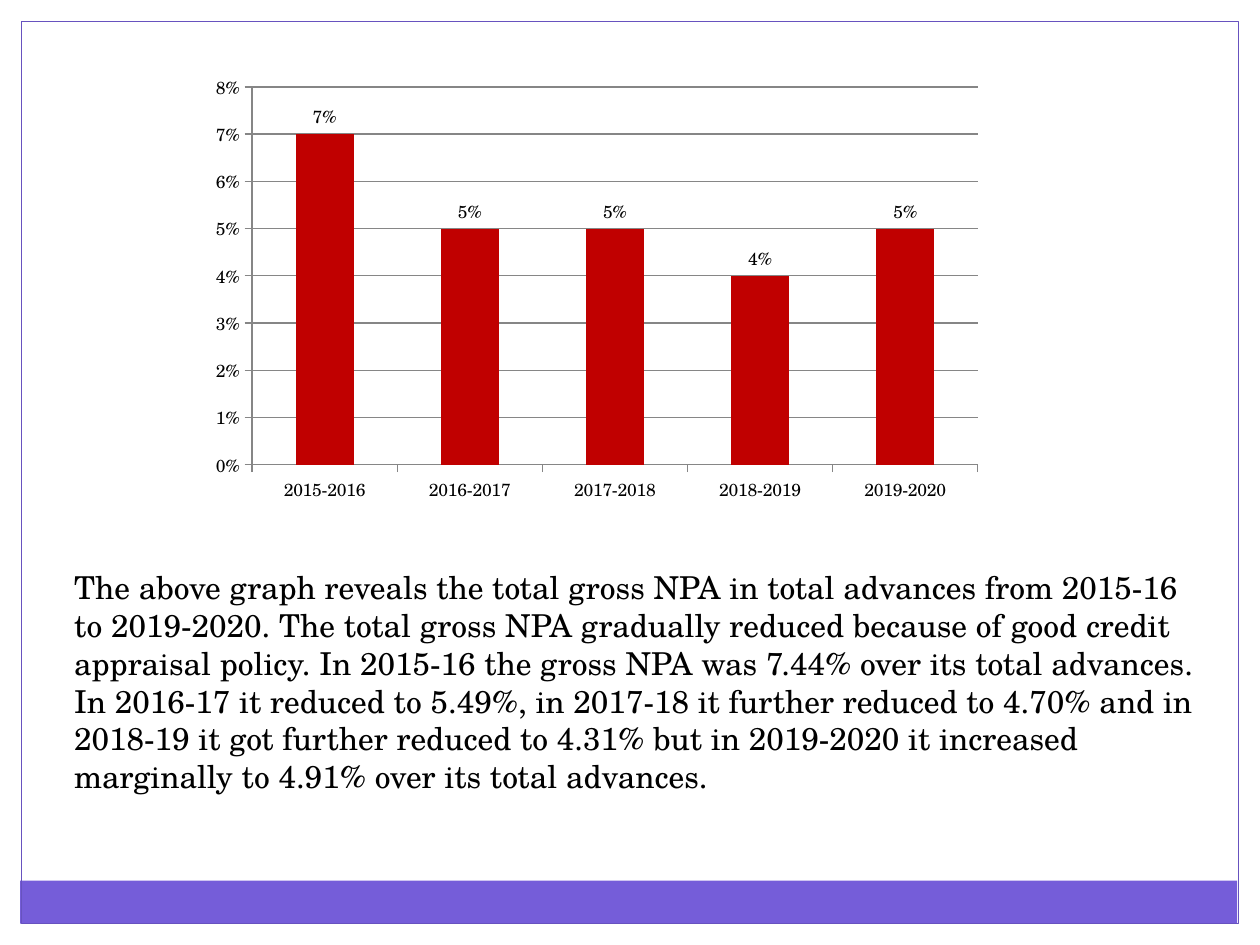
from pptx import Presentation
from pptx.chart.data import CategoryChartData
from pptx.dml.color import RGBColor
from pptx.enum.chart import XL_CHART_TYPE, XL_LABEL_POSITION, XL_TICK_MARK
from pptx.enum.shapes import MSO_SHAPE
from pptx.enum.text import MSO_ANCHOR, MSO_AUTO_SIZE, PP_ALIGN
from pptx.oxml import parse_xml
from pptx.oxml.ns import nsdecls
from pptx.util import Inches, Pt

COLORS = {
    "margin": "FFFFFF",
    "band": "755DD9",
    "frame": "6752BF",
    "bar": "C00000",
    "grid": "868686",
    "text": "000000",
}
FONT = "TeX Gyre Schola"
WIDTH, HEIGHT, MARGIN = 10, 7.5, 0.17
GROSS_NPA = {
    "2015-2016": 0.07,
    "2016-2017": 0.05,
    "2017-2018": 0.05,
    "2018-2019": 0.04,
    "2019-2020": 0.05,
}
COMMENTARY = (
    "The above graph reveals the total gross NPA in total advances from 2015-16 "
    "to 2019-2020. The total gross NPA gradually reduced because of good credit "
    "appraisal policy. In 2015-16 the gross NPA was 7.44% over its total advances. "
    "In 2016-17 it reduced to 5.49%, in 2017-18 it further reduced to 4.70% and in "
    "2018-19 it got further reduced to 4.31% but in 2019-2020 it increased "
    "marginally to 4.91% over its total advances."
)


def color(name):
    return RGBColor.from_string(COLORS[name])


def format_font(font, size, color_name="text"):
    font.name = FONT
    font.size = Pt(size)
    font.color.rgb = color(color_name)


def write_text(text_frame, text, size=18, color_name="text", align=PP_ALIGN.LEFT):
    paragraph = text_frame.paragraphs[0]
    paragraph.alignment = align
    run = paragraph.add_run()
    run.text = text
    format_font(run.font, size, color_name)


def set_plot_area(chart, x, y, width, height):
    """Fix the inner plot area, in fractions of the chart."""
    plot_area = chart.plots[0]._element.getparent()
    for old_layout in plot_area.findall("{*}layout"):
        plot_area.remove(old_layout)
    sizes = "".join(
        f'<c:{tag} val="{value}"/>'
        for tag, value in zip("xywh", (x, y, width, height))
    )
    plot_area.insert(0, parse_xml(
        f'<c:layout {nsdecls("c")}><c:manualLayout><c:layoutTarget val="inner"/>'
        f'<c:xMode val="edge"/><c:yMode val="edge"/>{sizes}'
        "</c:manualLayout></c:layout>"
    ))


class SlideBuilder:
    """Adds styled elements to the current slide."""

    def __init__(self, slide):
        self.slide = slide

    def rectangle(self, left, top, width, height, fill=None, line=None):
        shape = self.slide.shapes.add_shape(
            MSO_SHAPE.RECTANGLE, *map(Inches, (left, top, width, height)))
        shape.shadow.inherit = False
        if fill:
            shape.fill.solid()
            shape.fill.fore_color.rgb = color(fill)
        else:
            shape.fill.background()
        if line:
            shape.line.color.rgb = color(line)
            shape.line.width = Pt(0.75)
        else:
            shape.line.fill.background()

    def text_box(self, left, top, width, height, text, top_inset=0.05, **text_format):
        box = self.slide.shapes.add_textbox(
            *map(Inches, (left, top, width, height)))
        text_frame = box.text_frame
        text_frame.word_wrap = True
        text_frame.auto_size = MSO_AUTO_SIZE.SHAPE_TO_FIT_TEXT
        text_frame.vertical_anchor = MSO_ANCHOR.TOP
        text_frame.margin_top = Inches(top_inset)
        write_text(text_frame, text, **text_format)

    def column_chart(self, left, top, width, height, values):
        chart_data = CategoryChartData(number_format="0%")
        chart_data.categories = list(values)
        chart_data.add_series("Series 1", list(values.values()))
        chart = self.slide.shapes.add_chart(
            XL_CHART_TYPE.COLUMN_CLUSTERED,
            *map(Inches, (left, top, width, height)), chart_data).chart
        chart.has_legend = False
        chart.has_title = False
        format_font(chart.font, 10)
        set_plot_area(chart, 0.92 / width, 0.44 / height, 5.76 / width, 3 / height)

        for axis in (chart.category_axis, chart.value_axis):
            axis.major_tick_mark = XL_TICK_MARK.OUTSIDE
            axis.minor_tick_mark = XL_TICK_MARK.NONE
            axis.format.line.color.rgb = color("grid")
        value_axis = chart.value_axis
        value_axis.minimum_scale = 0
        value_axis.maximum_scale = 0.08
        value_axis.major_unit = 0.01
        value_axis.tick_labels.number_format = "0%"
        value_axis.tick_labels.number_format_is_linked = False
        value_axis.has_major_gridlines = True
        value_axis.major_gridlines.format.line.color.rgb = color("grid")

        plot = chart.plots[0]
        plot.gap_width = 150
        plot.vary_by_categories = False
        series = plot.series[0]
        series.format.fill.solid()
        series.format.fill.fore_color.rgb = color("bar")
        labels = series.data_labels
        labels.show_value = True
        labels.number_format = "0%"
        labels.number_format_is_linked = False
        labels.position = XL_LABEL_POSITION.OUTSIDE_END
        format_font(labels.font, 10)


def main():
    presentation = Presentation()
    presentation.slide_width = Inches(WIDTH)
    presentation.slide_height = Inches(HEIGHT)
    slide = presentation.slides.add_slide(presentation.slide_layouts[6])

    builder = SlideBuilder(slide)
    builder.rectangle(0, 0, WIDTH, MARGIN, fill="margin")
    for left in (WIDTH - MARGIN, 0):
        builder.rectangle(left, 0, MARGIN, HEIGHT, fill="margin")
    builder.rectangle(0.16, 6.99, 9.66, 0.34, fill="band")
    builder.rectangle(MARGIN, MARGIN, WIDTH - 2 * MARGIN, HEIGHT - 2 * MARGIN,
                      line="frame")
    builder.text_box(0.49, 4.17, 9.09, 2.52, COMMENTARY, top_inset=0.34)
    builder.column_chart(1.08, 0.25, 7, 4.08, GROSS_NPA)
    presentation.save("out.pptx")


if __name__ == "__main__":
    main()
